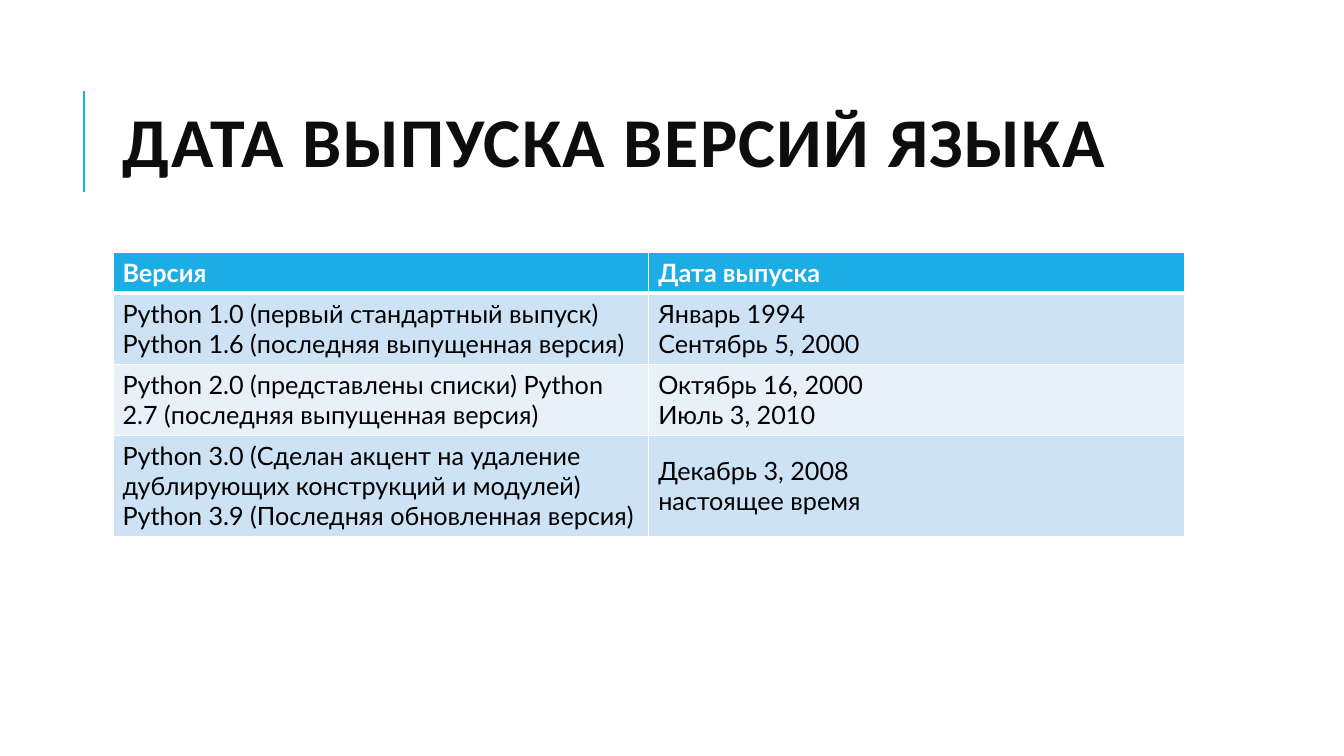
import pptx
import pptx.util
import pptx.dml.color
import pptx.enum.shapes
import pptx.enum.text
import pptx.oxml
import pptx.oxml.ns
from lxml import etree

Cm, Pt = pptx.util.Cm, pptx.util.Pt
MID = pptx.enum.text.MSO_ANCHOR.MIDDLE
TOP = pptx.enum.text.MSO_ANCHOR.TOP
BLUE, WHITE = "1CADE4", "FFFFFF"
BANDS = ["CDE3F5", "E8F1FA"]

ROWS = [
    ("Версия", "Дата выпуска"),
    ("Python 1.0 (первый стандартный выпуск) "
     "Python 1.6 (последняя выпущенная версия)",
     "Январь 1994\nСентябрь 5, 2000"),
    ("Python 2.0 (представлены списки) "
     "Python 2.7 (последняя выпущенная версия)",
     "Октябрь 16, 2000\nИюль 3, 2010"),
    ("Python 3.0 (Сделан акцент на удаление дублирующих конструкций и модулей) "
     "Python 3.9 (Последняя обновленная версия)",
     "Декабрь 3, 2008\nнастоящее время"),
]
LINES = [1, 2, 2, 3]  # text lines in each row


def color(code):
    return pptx.dml.color.RGBColor.from_string(code)


def write(para, text, face, size, code, bold):
    """Add text run by run, with a line break at each newline."""
    for i, part in enumerate(text.split("\n")):
        if i:
            para.add_line_break()
        run = para.add_run()
        run.text = part
        font = run.font
        font.name, font.size, font.bold = face, Pt(size), bold
        font.color.rgb = color(code)
    return run


def edge(cell, widths):
    """Draw white cell borders; widths in points by side."""
    props = cell._tc.get_or_add_tcPr()
    for i, (side, width) in enumerate(widths.items()):
        line = pptx.oxml.parse_xml(
            f'<a:ln{side} {pptx.oxml.ns.nsdecls("a")} w="{Pt(width)}">'
            f'<a:solidFill><a:srgbClr val="{WHITE}"/></a:solidFill></a:ln{side}>')
        props.insert(i, line)


def title(slide, left, top, width, height):
    # Accent rule beside the heading
    x, y = left - Cm(0.74), top + Cm(0.66)
    rule = slide.shapes.add_connector(
        pptx.enum.shapes.MSO_CONNECTOR.STRAIGHT, x, y + Cm(2.54), x, y)
    rule.line.color.rgb = color(BLUE)
    rule.line.width = Pt(1.5)
    etree.SubElement(rule._element.spPr, pptx.oxml.ns.qn("a:effectLst"))

    # Heading
    frame = slide.shapes.add_textbox(left, top, width, height).text_frame
    frame.word_wrap = True
    frame.vertical_anchor = MID
    para = frame.paragraphs[0]
    para.line_spacing = 0.8
    run = write(para, "ДАТА ВЫПУСКА ВЕРСИЙ ЯЗЫКА", "Calibri", 50, "0D0D0D", True)
    run.font._element.set("spc", "100")


def dates(slide, left, top, width):
    high = [Cm(0.27 + 0.76 * n) for n in LINES]
    grid = slide.shapes.add_table(
        len(ROWS), 2, left, top, width, sum(high)).table
    for col in grid.columns:
        col.width = width // 2
    for r, texts in enumerate(ROWS):
        head = r == 0
        grid.rows[r].height = high[r]
        for c, text in enumerate(texts):
            cell = grid.cell(r, c)
            cell.fill.solid()
            cell.fill.fore_color.rgb = color(BLUE if head else BANDS[(r - 1) % 2])
            cell.vertical_anchor = TOP if head else MID
            cell.margin_left = cell.margin_right = Cm(0.24)
            cell.margin_top = cell.margin_bottom = Cm(0.13)
            edge(cell, {"L": 1, "R": 1, "T": 3 if r == 1 else 1,
                        "B": 3 if head else 1})
            write(cell.text_frame.paragraphs[0], text, "Lato", 18,
                  WHITE if head else "000000", head)


deck = pptx.Presentation()
deck.slide_width, deck.slide_height = Cm(33.87), Cm(19.05)
page = deck.slides.add_slide(deck.slide_layouts[6])
title(page, Cm(2.85), Cm(1.63), Cm(27), Cm(4.16))
dates(page, Cm(2.85), Cm(6.36), Cm(27))
deck.save("out.pptx")
